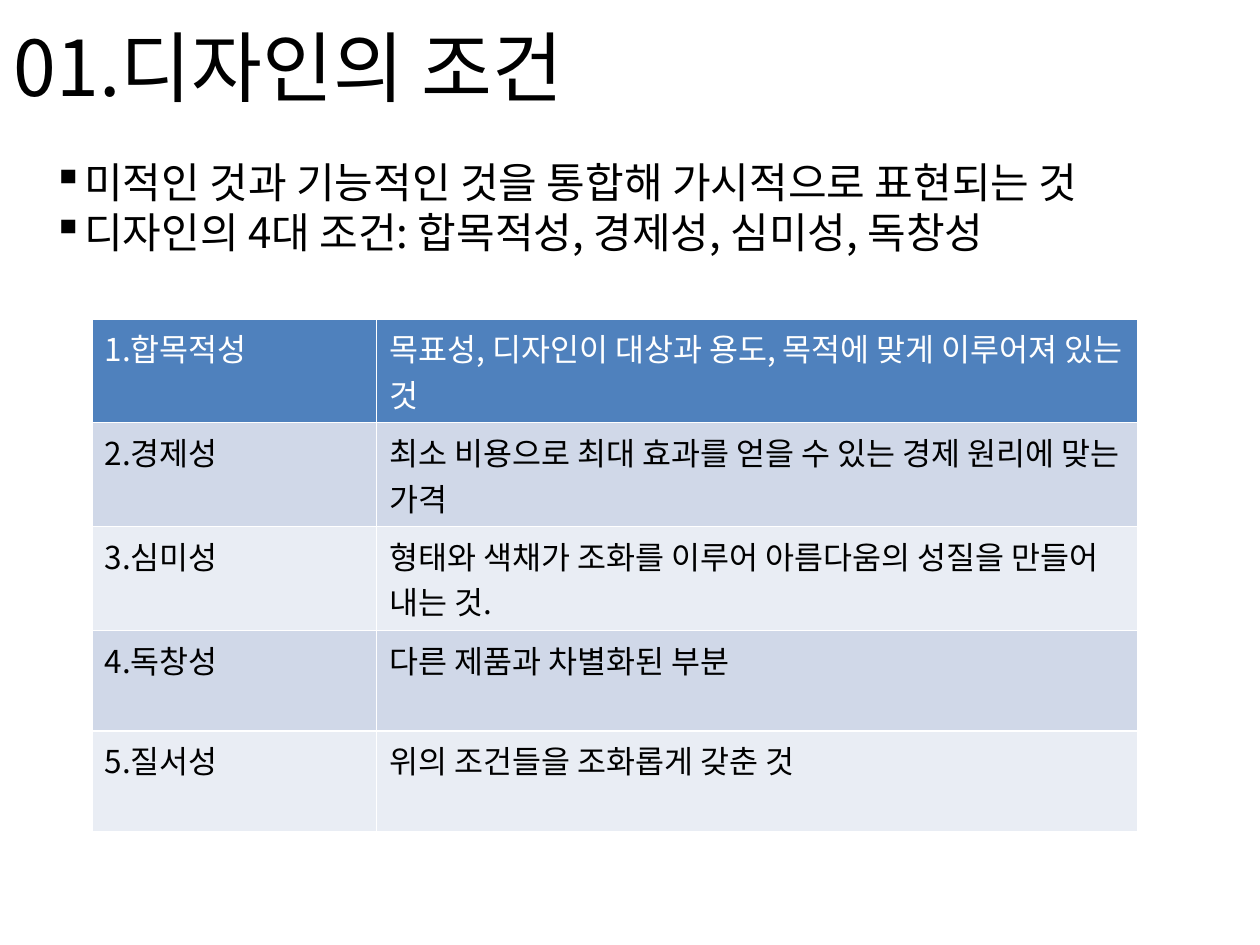
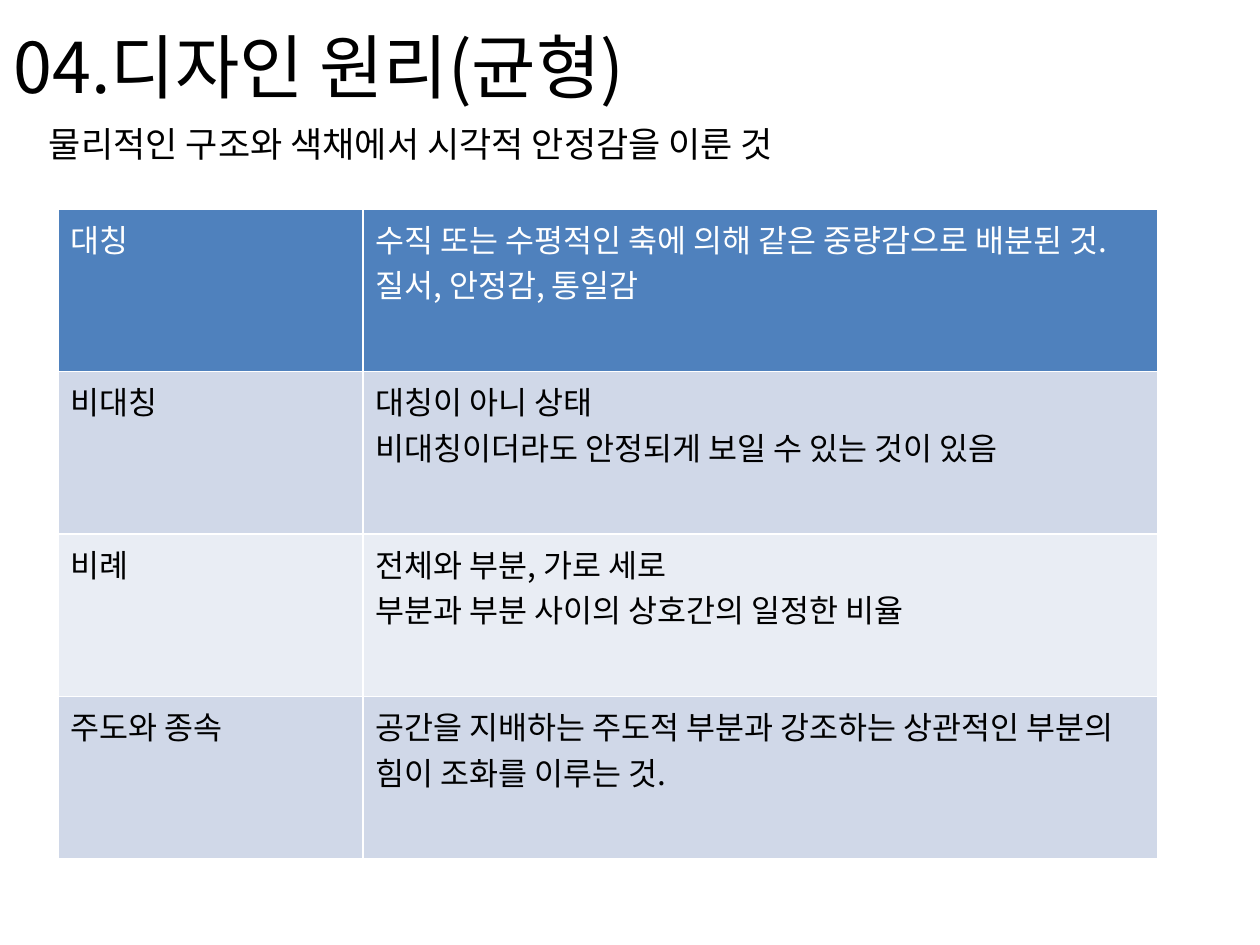
from pptx import Presentation
from pptx.dml.color import RGBColor
from pptx.enum.text import MSO_ANCHOR, MSO_AUTO_SIZE, PP_ALIGN
from pptx.oxml.ns import qn
from pptx.util import Inches, Pt
from lxml import etree

MIDDLE, TOP = MSO_ANCHOR.MIDDLE, MSO_ANCHOR.TOP
NO_FIT, SHRINK = MSO_AUTO_SIZE.NONE, MSO_AUTO_SIZE.TEXT_TO_FIT_SHAPE
LEFT = PP_ALIGN.LEFT

# Shared style
FONT = "Noto Sans CJK KR"
BLACK, WHITE = "000000", "FFFFFF"
HEADER_FILL = "4F81BD"
BAND_FILLS = ["D0D8E8", "E9EDF4"]
TITLE_AREA = (0.01, 0, 9.98, 1.04)
CELL_SIZE = 18

# Content: each table row is a term and the paragraphs that explain it
SLIDES = [
    {
        "title": "01.디자인의 조건", "title_size": 44,
        "intro": ["미적인 것과 기능적인 것을 통합해 가시적으로 표현되는 것",
                  "디자인의 4대 조건: 합목적성, 경제성, 심미성, 독창성"],
        "intro_area": (0.32, 1.19, 9.18, 0.95), "intro_size": 24,
        "bullet": "▪", "fit": SHRINK, "spacing": 1.0,
        "table_at": (0.73, 2.53), "columns": (2.26, 6.04), "row_height": 0.8,
        "rows": [
            ("1.합목적성\u00a0", ["목표성, 디자인이 대상과 용도, 목적에 맞게 이루어져 있는 것"]),
            ("2.경제성", ["최소 비용으로 최대 효과를 얻을 수 있는 경제 원리에 맞는 가격"]),
            ("3.심미성", ["형태와 색채가 조화를 이루어 아름다움의 성질을 만들어 내는 것."]),
            ("4.독창성", ["다른 제품과 차별화된 부분"]),
            ("5.질서성", ["위의 조건들을 조화롭게 갖춘 것"]),
        ],
    },
    {
        "title": "04.디자인 원리(균형)", "title_size": 40,
        "intro": ["물리적인 구조와 색채에서 시각적 안정감을 이룬 것"],
        "intro_area": (0.29, 0.95, 9.12, 5.96), "intro_size": 20,
        "bullet": None, "fit": NO_FIT, "spacing": 0.95,
        "table_at": (0.46, 1.66), "columns": (2.42, 6.31), "row_height": 1.29,
        "rows": [
            ("대칭", ["수직 또는 수평적인 축에 의해 같은 중량감으로 배분된 것.",
                    "질서, 안정감, 통일감"]),
            ("비대칭", ["대칭이 아니 상태",
                     "비대칭이더라도 안정되게 보일 수 있는 것이 있음"]),
            ("비례", ["전체와 부분, 가로 세로",
                    "부분과 부분 사이의 상호간의 일정한 비율"]),
            ("주도와 종속", ["공간을 지배하는 주도적 부분과 강조하는 상관적인 부분의 힘이 조화를 이루는 것."]),
        ],
    },
]


def rgb(value):
    return RGBColor.from_string(value)


def write(frame, lines, size, color=BLACK, bullet=None, spacing=1.0):
    """Fill a text frame with one left-aligned paragraph per line."""
    for index, line in enumerate(lines):
        para = frame.add_paragraph() if index else frame.paragraphs[0]
        layout = {"alignment": LEFT, "line_spacing": spacing,
                  "space_before": Pt(0), "space_after": Pt(0)}
        for name, value in layout.items():
            setattr(para, name, value)
        if bullet:
            mark = etree.SubElement(para._p.get_or_add_pPr(), qn("a:buChar"))
            mark.set("char", bullet)
        span = para.add_run()
        span.text = line
        for name, value in {"name": FONT, "size": Pt(size), "bold": False}.items():
            setattr(span.font, name, value)
        span.font.color.rgb = rgb(color)
        # Korean glyphs take the East Asian typeface
        east_asian = etree.SubElement(span._r.get_or_add_rPr(), qn("a:ea"))
        east_asian.set("typeface", FONT)


def add_title(page, text, size):
    title = page.shapes.title
    for name, value in zip(("left", "top", "width", "height"), TITLE_AREA):
        setattr(title, name, Inches(value))
    title.text_frame.vertical_anchor = MIDDLE
    title.text_frame.auto_size = NO_FIT
    write(title.text_frame, [text], size)


def add_intro(page, content):
    box = page.shapes.add_textbox(*map(Inches, content["intro_area"]))
    frame = box.text_frame
    settings = {"word_wrap": True, "vertical_anchor": TOP, "auto_size": content["fit"]}
    for name, value in settings.items():
        setattr(frame, name, value)
    write(frame, content["intro"], content["intro_size"],
          bullet=content["bullet"], spacing=content["spacing"])


def add_terms(page, content):
    rows, widths = content["rows"], content["columns"]
    height = content["row_height"]
    area = (*content["table_at"], sum(widths), height * len(rows))
    table = page.shapes.add_table(len(rows), len(widths), *map(Inches, area)).table
    for column, width in zip(table.columns, widths):
        column.width = Inches(width)
    for index, (term, meaning) in enumerate(rows):
        table.rows[index].height = Inches(height)
        fill = BAND_FILLS[(index - 1) % 2] if index else HEADER_FILL
        color = BLACK if index else WHITE
        for cell, lines in zip(table.rows[index].cells, ([term], meaning)):
            cell.fill.solid()
            cell.fill.fore_color.rgb = rgb(fill)
            write(cell.text_frame, lines, CELL_SIZE, color)


# Build
deck = Presentation()
deck.slide_width, deck.slide_height = Inches(10), Inches(7.5)
title_only = deck.slide_layouts[5]
for content in SLIDES:
    page = deck.slides.add_slide(title_only)
    add_title(page, content["title"], content["title_size"])
    add_intro(page, content)
    add_terms(page, content)
deck.save("out.pptx")
